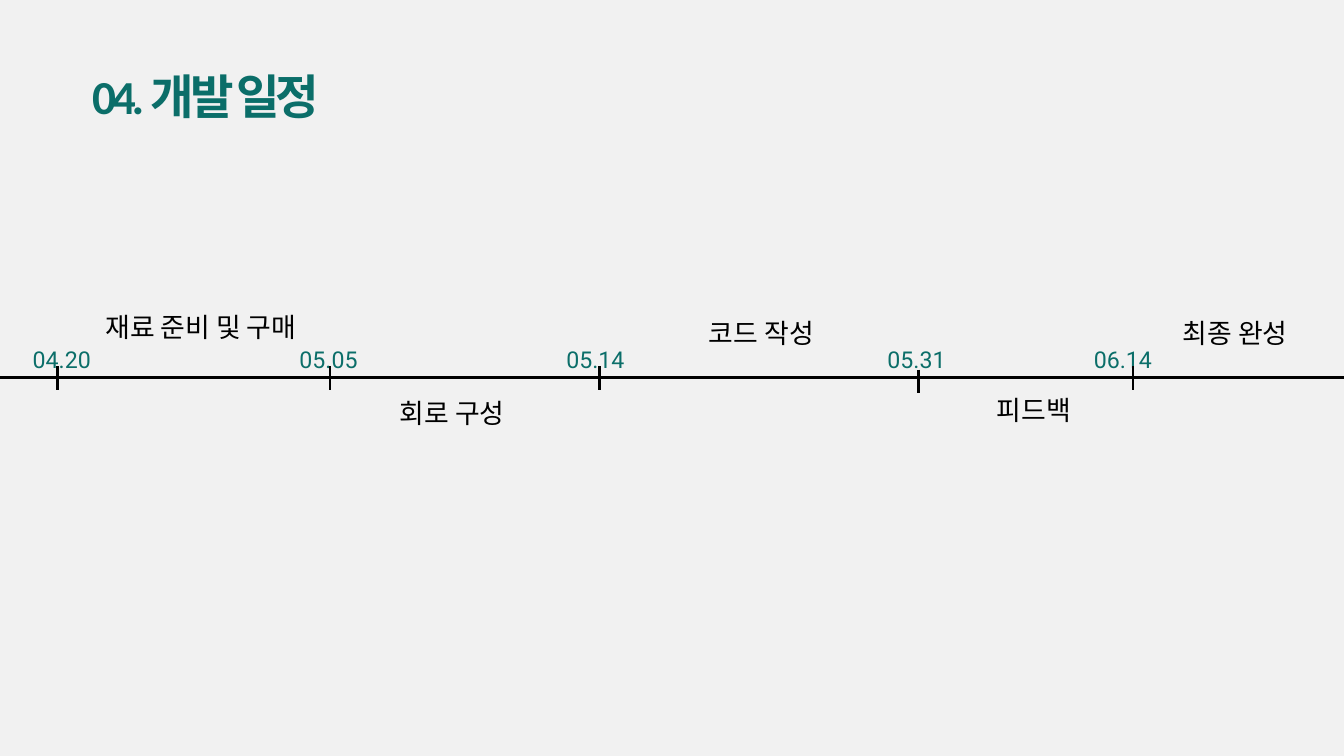
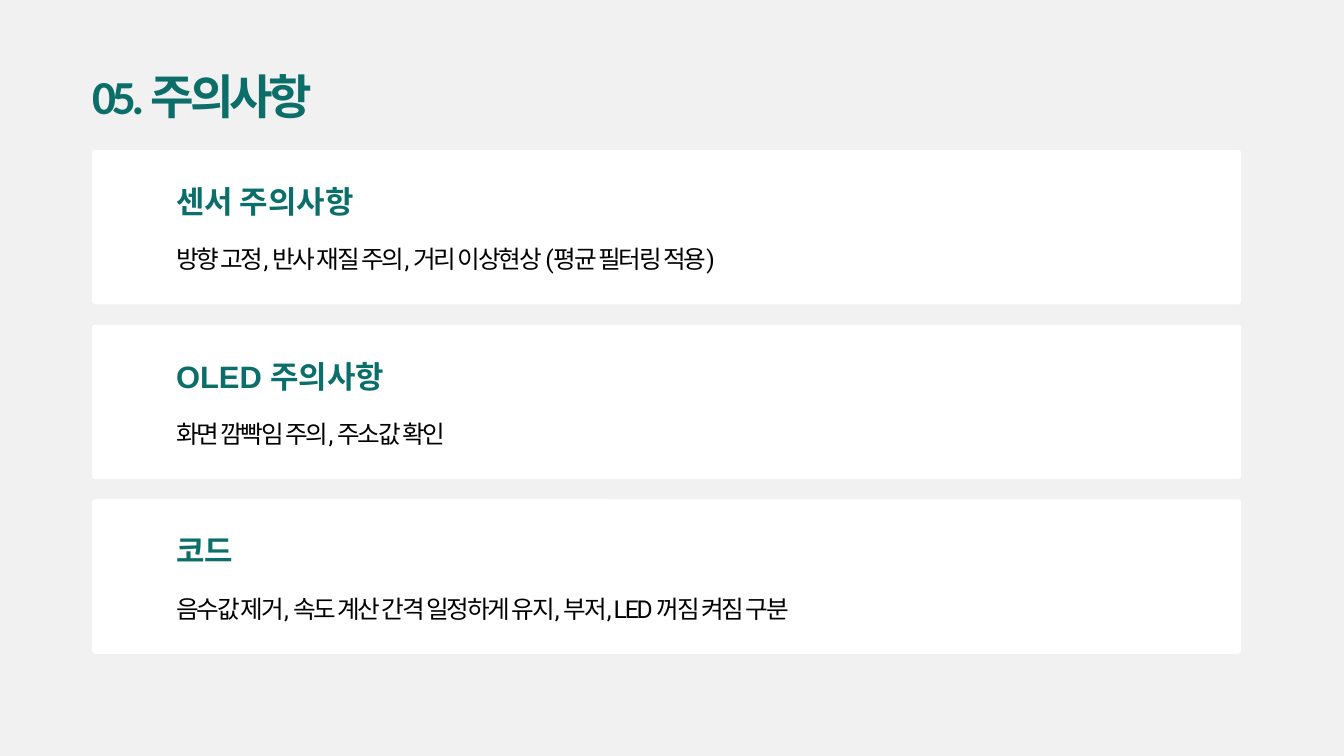
from pptx import Presentation
from pptx import util as u
from pptx.dml.color import RGBColor
from pptx.enum import shapes, text
from pptx.oxml.ns import qn
from lxml import etree

# date, left of the date text, x of the tick, top of the tick
DATES = [
    ("04.20", 14, 86, 545),
    ("05.05", 411, 491, 545),
    ("05.14", 808, 892, 545),
    ("05.31", 1286, 1367, 550),
    ("06.14", 1593, 1686, 545),
]
# task, left, top, width
TASKS = [
    ("재료 준비 및 구매", 154, 442, 290),
    ("회로 구성", 594, 571, 158),
    ("코드 작성", 1054, 452, 158),
    ("피드백", 1483, 566, 111),
    ("최종 완성", 1759, 452, 158),
]
CAUTIONS = [
    ("센서 주의사항", "방향 고정, 반사 재질 주의, 거리 이상현상 (평균 필터링 적용)"),
    ("OLED 주의사항", "화면 깜빡임 주의, 주소값 확인"),
    ("코드", "음수값 제거, 속도 계산 간격 일정하게 유지, 부저, LED 꺼짐 켜짐 구분"),
]

PX = 9144  # 100 px to the inch
SLIDE_W, SLIDE_H = 2000, 1125
AXIS_Y, TICK_H = 562, 35
CARD_X, CARD_Y, CARD_W, CARD_H, CARD_STEP = 137, 223, 1710, 230, 260
CARD_RADIUS, CARD_INDENT = 5, 125

GRAY = RGBColor(0xF1, 0xF1, 0xF1)
TEAL = RGBColor(0x0B, 0x6E, 0x69)
BLACK = RGBColor(0, 0, 0)
WHITE = RGBColor(0xFF, 0xFF, 0xFF)

# font, size, bold, colour, line spacing, letter spacing (all in points)
TITLE = ("Calibri", 50.7, True, TEAL, 56.3, -4.5)
DATE = ("Roboto", 24.8, False, TEAL, 42, 0)
TASK = ("Roboto", 28.8, False, BLACK, 48.8, 0)
HEADING = ("Arial", 33.1, True, TEAL, 36.7, 0)
BODY = ("Roboto", 26.4, False, BLACK, 44.7, -2.3)


def px(*lengths):
    return [u.Emu(n * PX) for n in lengths]


def add_text(slide, words, box, style, align=text.PP_ALIGN.LEFT):
    font, size, bold, color, leading, tracking = style
    tf = slide.shapes.add_textbox(*px(*box)).text_frame
    tf.margin_left = tf.margin_top = tf.margin_right = tf.margin_bottom = 0
    tf.word_wrap = True
    tf.auto_size = text.MSO_AUTO_SIZE.SHAPE_TO_FIT_TEXT
    p = tf.paragraphs[0]
    p.text = words
    p.alignment = align
    p.line_spacing = u.Pt(leading)
    r = p.runs[0]
    r.font.name, r.font.size, r.font.bold = font, u.Pt(size), bold
    r.font.color.rgb = color
    if tracking:
        r._r.get_or_add_rPr().set("spc", str(round(tracking * 100)))


def add_line(slide, *ends):
    line = slide.shapes.add_connector(shapes.MSO_CONNECTOR.STRAIGHT, *px(*ends))
    line.line.color.rgb = BLACK
    line.line.width = u.Pt(3)
    etree.SubElement(line._element.spPr, qn("a:effectLst"))


def add_card(slide, top):
    sp = slide.shapes.add_shape(shapes.MSO_SHAPE.ROUNDED_RECTANGLE,
                                *px(CARD_X, top, CARD_W, CARD_H))
    sp.adjustments[0] = CARD_RADIUS / CARD_H
    sp.shadow.inherit = False
    sp.fill.solid()
    sp.fill.fore_color.rgb = WHITE
    sp.line.fill.background()


def new_slide(prs, title):
    slide = prs.slides.add_slide(prs.slide_layouts[6])
    slide.background.fill.solid()
    slide.background.fill.fore_color.rgb = GRAY
    add_text(slide, title, (CARD_X, 107, 703, 93), TITLE)
    return slide


def schedule_slide(prs):
    slide = new_slide(prs, "04. 개발 일정")
    add_line(slide, 0, AXIS_Y, SLIDE_W, AXIS_Y)
    for date, left, x, top in DATES:
        add_text(slide, date, (left, 497, 156, 53), DATE, text.PP_ALIGN.CENTER)
        add_line(slide, x, top, x, top + TICK_H)
    for task, left, top, width in TASKS:
        add_text(slide, task, (left, top, width, 63), TASK, text.PP_ALIGN.CENTER)


def cautions_slide(prs):
    slide = new_slide(prs, "05. 주의사항")
    left = CARD_X + CARD_INDENT
    for i, (heading, body) in enumerate(CAUTIONS):
        top = CARD_Y + i * CARD_STEP
        add_card(slide, top)
        add_text(slide, heading, (left, top + 53, 398, 53), HEADING)
        add_text(slide, body, (left, top + 122, 1389, 57), BODY)


def main():
    prs = Presentation()
    prs.slide_width, prs.slide_height = px(SLIDE_W, SLIDE_H)
    schedule_slide(prs)
    cautions_slide(prs)
    prs.save("out.pptx")


if __name__ == "__main__":
    main()
